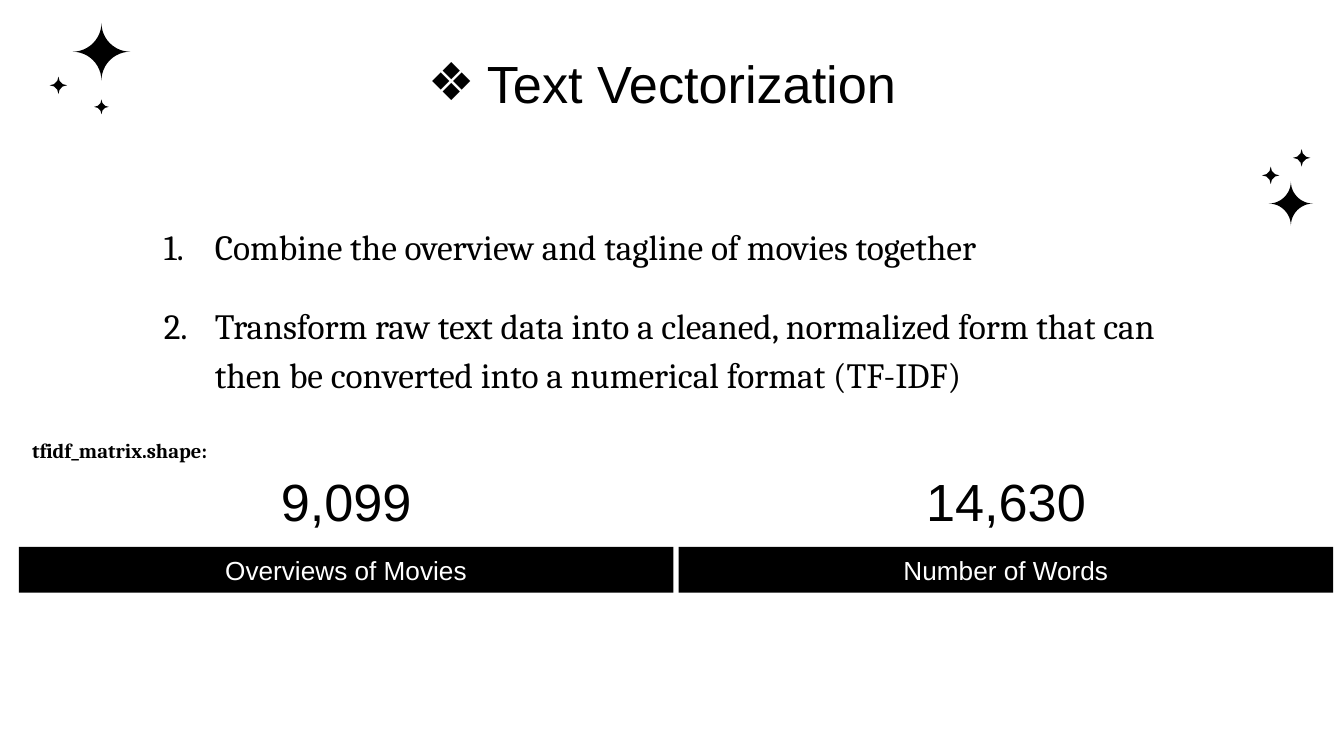
"""Build the Text Vectorization slide with its steps and TF-IDF matrix shape."""
import pptx
import pptx.dml.color
import pptx.enum.shapes
import pptx.enum.text
import pptx.oxml.ns
import pptx.util
from lxml import etree
from pptx.util import Inches

COLORS = {"ink": "000000", "paper": "FFFFFF"}
ALIGN = pptx.enum.text.PP_ALIGN
ANCHOR = pptx.enum.text.MSO_ANCHOR
SHAPES = pptx.enum.shapes.MSO_SHAPE


def paint(shape, color):
    shape.shadow.inherit = False
    shape.fill.solid()
    shape.fill.fore_color.rgb = pptx.dml.color.RGBColor.from_string(COLORS[color])
    shape.line.fill.background()


def write(lines, box, size, font="Arial", color="ink", bold=False, align=ALIGN.CENTER,
          anchor=ANCHOR.TOP, fill=None, spacing=None, before=0, after=0,
          bullet=None, hanging=0):
    left, top, width, height = map(Inches, box)
    if fill:
        shape = slide.shapes.add_shape(SHAPES.RECTANGLE, left, top, width, height)
        paint(shape, fill)
    else:
        shape = slide.shapes.add_textbox(left, top, width, height)
    frame = shape.text_frame
    frame.word_wrap = True
    frame.vertical_anchor = anchor
    frame.margin_left = frame.margin_right = Inches(0.1)
    frame.margin_top = frame.margin_bottom = Inches(0.1)
    frame.text = "\n".join(lines)
    for paragraph in frame.paragraphs:
        paragraph.alignment = align
        paragraph.line_spacing = spacing
        paragraph.space_before = pptx.util.Pt(before)
        paragraph.space_after = pptx.util.Pt(0)
        run_font = paragraph.runs[0].font
        run_font.name = font
        run_font.size = pptx.util.Pt(size)
        run_font.bold = bold
        run_font.color.rgb = pptx.dml.color.RGBColor.from_string(COLORS[color])
    frame.paragraphs[-1].space_after = pptx.util.Pt(after)
    if bullet:
        tag, attributes = bullet
        for paragraph in frame.paragraphs:
            properties = paragraph._p.get_or_add_pPr()
            properties.set("marL", str(Inches(0.5)))
            properties.set("indent", str(-Inches(hanging)))
            etree.SubElement(properties, pptx.oxml.ns.qn("a:buFont"), {"typeface": font})
            etree.SubElement(properties, pptx.oxml.ns.qn(tag), attributes)


deck = pptx.Presentation()
deck.slide_width = Inches(10)
deck.slide_height = Inches(10) * 9 // 16
slide = deck.slides.add_slide(deck.slide_layouts[6])

sparkles = [
    (0.37, 0.57, 0.13), (0.54, 0.17, 0.43), (0.7, 0.74, 0.11),
    (9.44, 1.35, 0.33), (9.62, 1.11, 0.13), (9.39, 1.24, 0.13),
]
for left, top, side in sparkles:
    sparkle = slide.shapes.add_shape(
        SHAPES.PLAQUE, Inches(left), Inches(top), Inches(side), Inches(side))
    sparkle.adjustments[0] = 0.5
    paint(sparkle, "ink")

write(["Text Vectorization"], (0.68, 0.28, 8.43, 0.63), 28,
      bullet=("a:buChar", {"char": "❖"}), hanging=0.44)

steps = [
    "Combine the overview and tagline of movies together",
    "Transform raw text data into a cleaned, normalized form that can "
    "then be converted into a numerical format (TF-IDF)",
]
write(steps, (1, 1.53, 8.02, 1.39), 19, font="Cambria", align=ALIGN.LEFT,
      spacing=1.15, before=16, after=10,
      bullet=("a:buAutoNum", {"type": "arabicPeriod"}), hanging=0.38)

dimensions = [("9,099", "Overviews of Movies"), ("14,630", "Number of Words")]
for column, (count, label) in enumerate(dimensions):
    left = 0.14 + column * 4.91
    write([count], (left, 2.97, 4.87, 1.09), 28, anchor=ANCHOR.BOTTOM)
    write([label], (left, 4.07, 4.87, 0.34), 14, color="paper",
          anchor=ANCHOR.MIDDLE, fill="ink")

write(["tfidf_matrix.shape:"], (0.14, 3.13, 2.34, 0.48), 11, font="Cambria",
      bold=True, align=ALIGN.LEFT, spacing=1.15, before=16, after=10)

deck.save("out.pptx")
